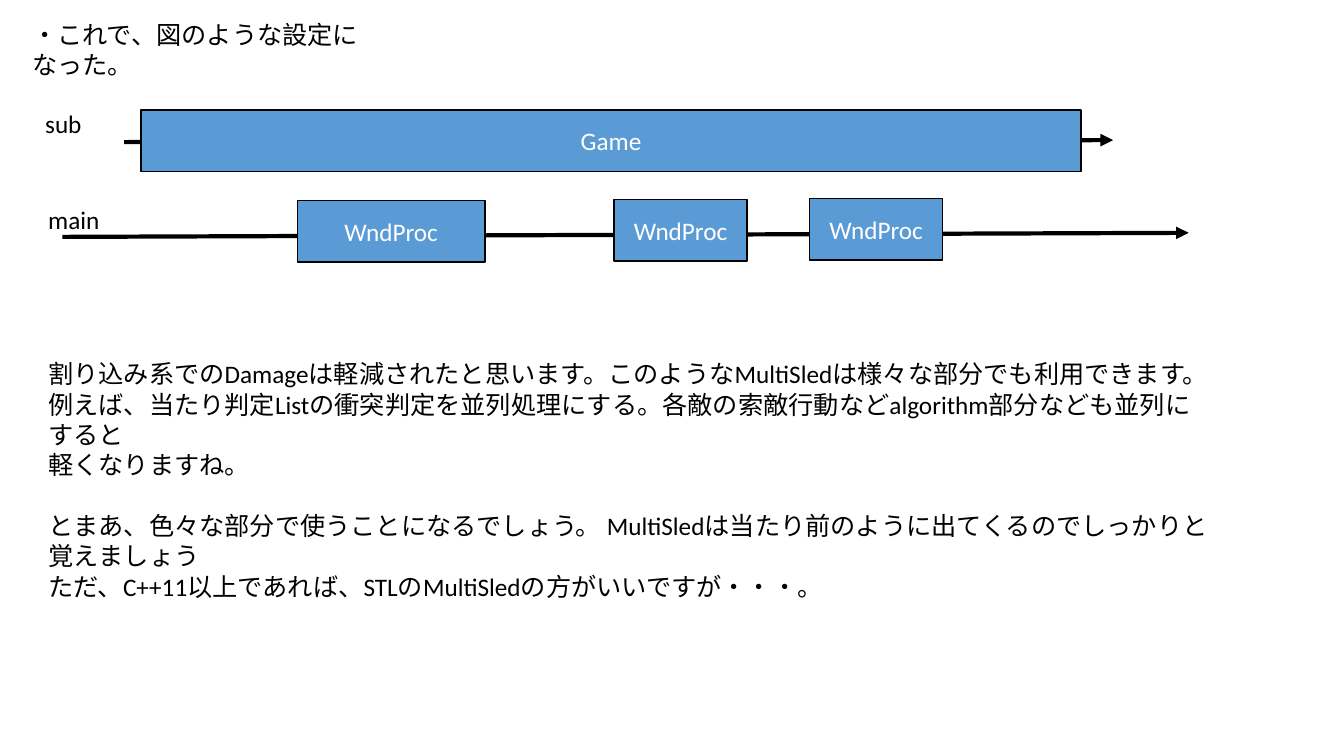
"""Build the slide showing how the sub and main threads share the work."""
from pptx import Presentation
from pptx.dml.color import RGBColor
from pptx.enum.shapes import MSO_CONNECTOR, MSO_SHAPE
from pptx.enum.text import MSO_ANCHOR, MSO_AUTO_SIZE, PP_ALIGN
from pptx.oxml.ns import qn
from pptx.util import Pt
from lxml.etree import SubElement

PX = 9144
BLACK, WHITE, BLUE = "000000", "FFFFFF", "5B9BD5"
FONT = {"name": "Calibri", "size": Pt(18)}


def color(hex_code):
    return RGBColor.from_string(hex_code)


def write(frame, lines, text_color, align, **frame_format):
    for key, value in frame_format.items():
        setattr(frame, key, value)
    for index, line in enumerate(lines):
        paragraph = frame.paragraphs[0] if index == 0 else frame.add_paragraph()
        paragraph.alignment = align
        run = paragraph.add_run()
        run.text = line
        for key, value in FONT.items():
            setattr(run.font, key, value)
        run.font.color.rgb = color(text_color)


prs = Presentation()
prs.slide_width, prs.slide_height = 1333 * PX, 750 * PX
slide = prs.slides.add_slide(prs.slide_layouts[6])

threads = [
    ((123, 141, 1104, 139), [("Game", 140, 109, 932)]),
    ((62, 235, 1179, 231), [
        ("WndProc", 295, 199, 186),
        ("WndProc", 609, 198, 132),
        ("WndProc", 803, 197, 132),
    ]),
]
for ends, tasks in threads:
    timeline = slide.shapes.add_connector(
        MSO_CONNECTOR.STRAIGHT, *[value * PX for value in ends])
    timeline.line.width = Pt(3)
    timeline.line.color.rgb = color(BLACK)
    SubElement(timeline.line._get_or_add_ln(), qn("a:tailEnd"), type="triangle")
    SubElement(timeline._element.spPr, qn("a:effectLst"))
    for label, left, top, width in tasks:
        task = slide.shapes.add_shape(
            MSO_SHAPE.RECTANGLE, left * PX, top * PX, width * PX, 61 * PX)
        task.shadow.inherit = False
        task.fill.solid()
        task.fill.fore_color.rgb = color(BLUE)
        task.line.color.rgb = color(BLACK)
        task.line.width = Pt(1)
        write(task.text_frame, [label], WHITE, PP_ALIGN.CENTER,
              vertical_anchor=MSO_ANCHOR.MIDDLE)

explanation = [
    "割り込み系でのDamageは軽減されたと思います。このようなMultiSledは様々な部分でも利用できます。",
    "例えば、当たり判定Listの衝突判定を並列処理にする。各敵の索敵行動などalgorithm部分なども並列にすると",
    "軽くなりますね。",
    "とまあ、色々な部分で使うことになるでしょう。 MultiSledは当たり前のように出てくるのでしっかりと覚えましょう",
    "ただ、C++11以上であれば、STLのMultiSledの方がいいですが・・・。",
]
passages = [
    ((22, 14, 388, 40), ["・これで、図のような設定になった。"], True),
    ((38, 198, 72, 40), ["main"], False),
    ((35, 103, 57, 40), ["sub"], False),
    ((38, 351, 1174, 192), explanation, True),
]
for place, lines, wraps in passages:
    passage = slide.shapes.add_textbox(*[value * PX for value in place]).text_frame
    write(passage, lines, BLACK, PP_ALIGN.LEFT,
          word_wrap=wraps, auto_size=MSO_AUTO_SIZE.SHAPE_TO_FIT_TEXT)
passage.paragraphs[3].space_before = Pt(22)

prs.save("out.pptx")
